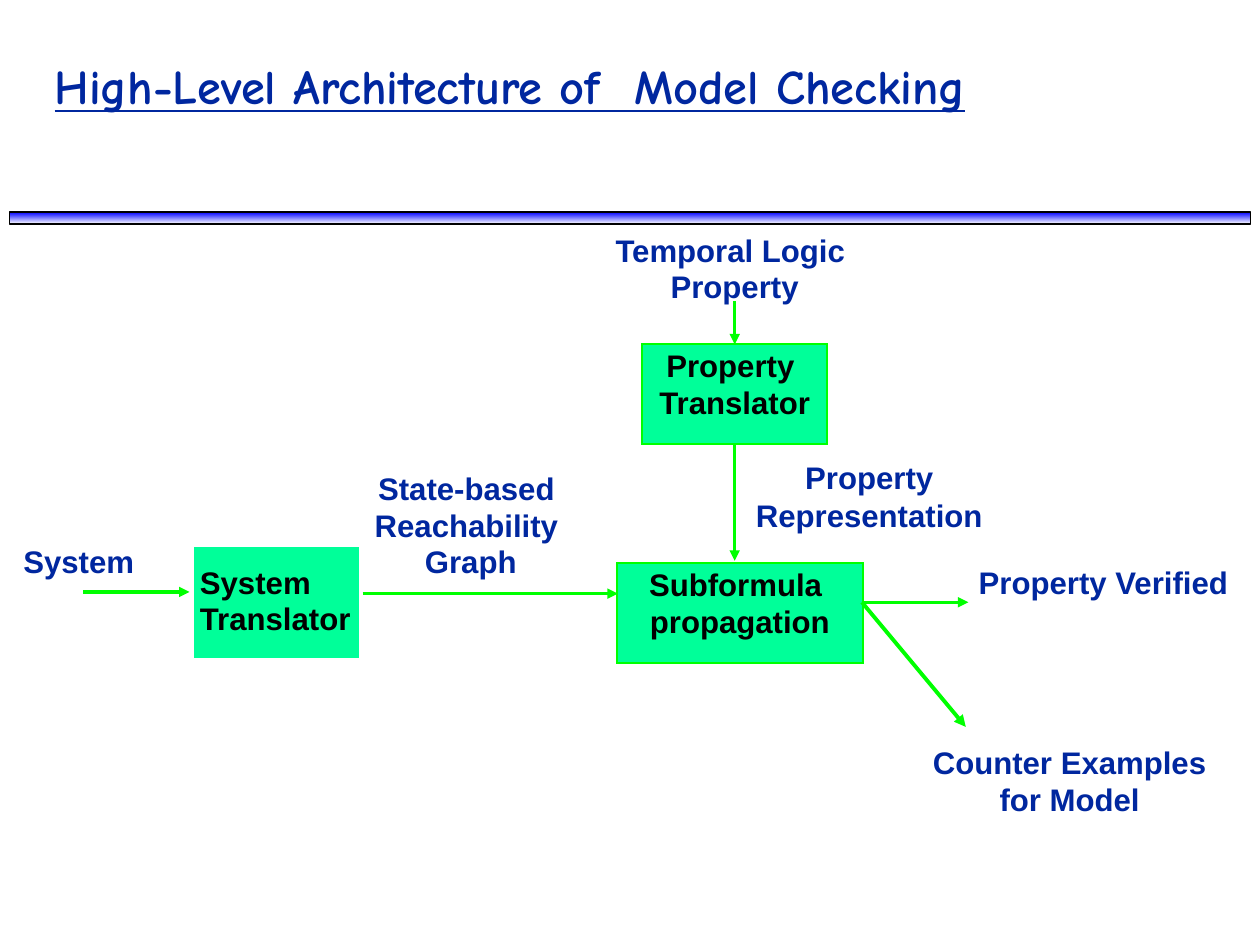
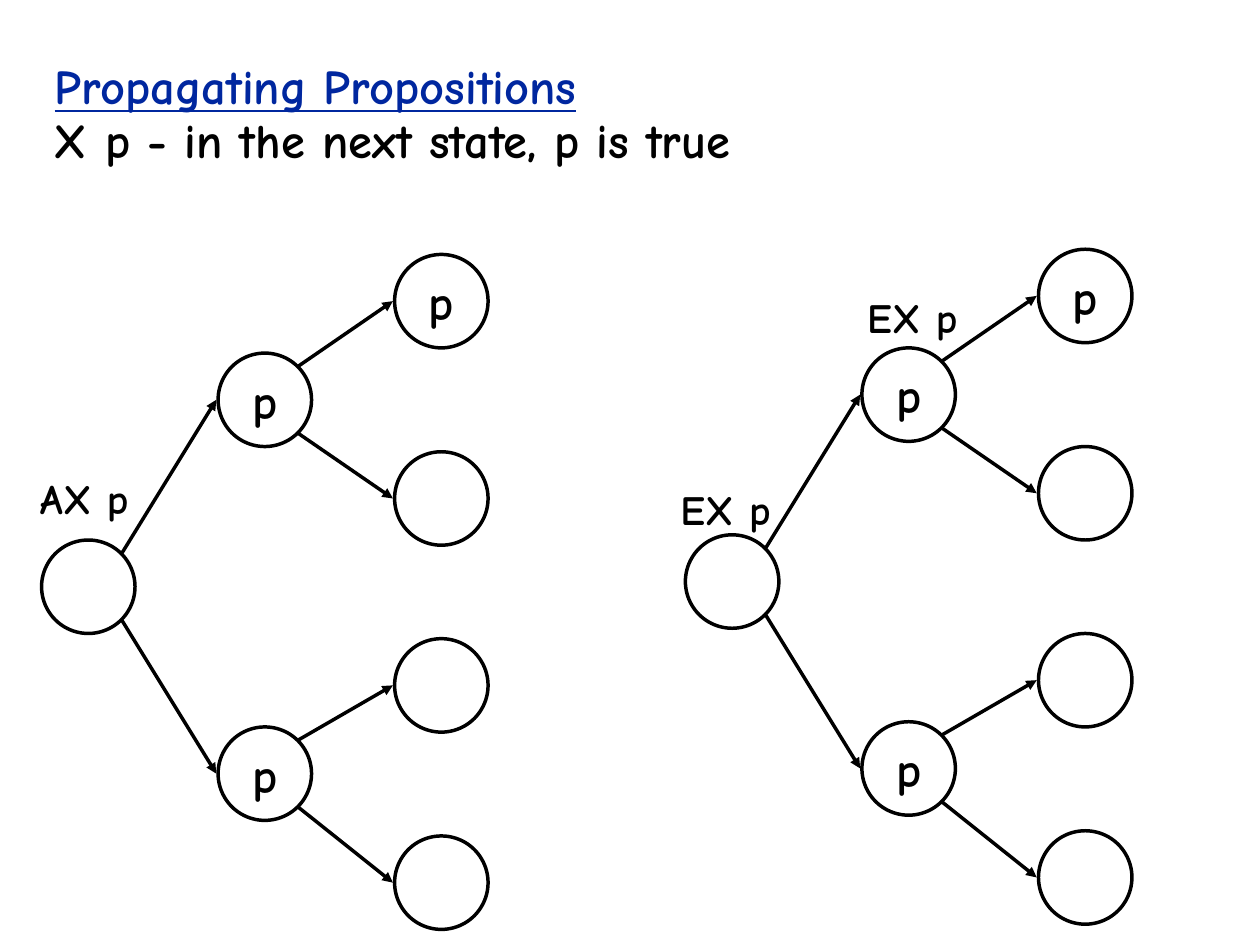
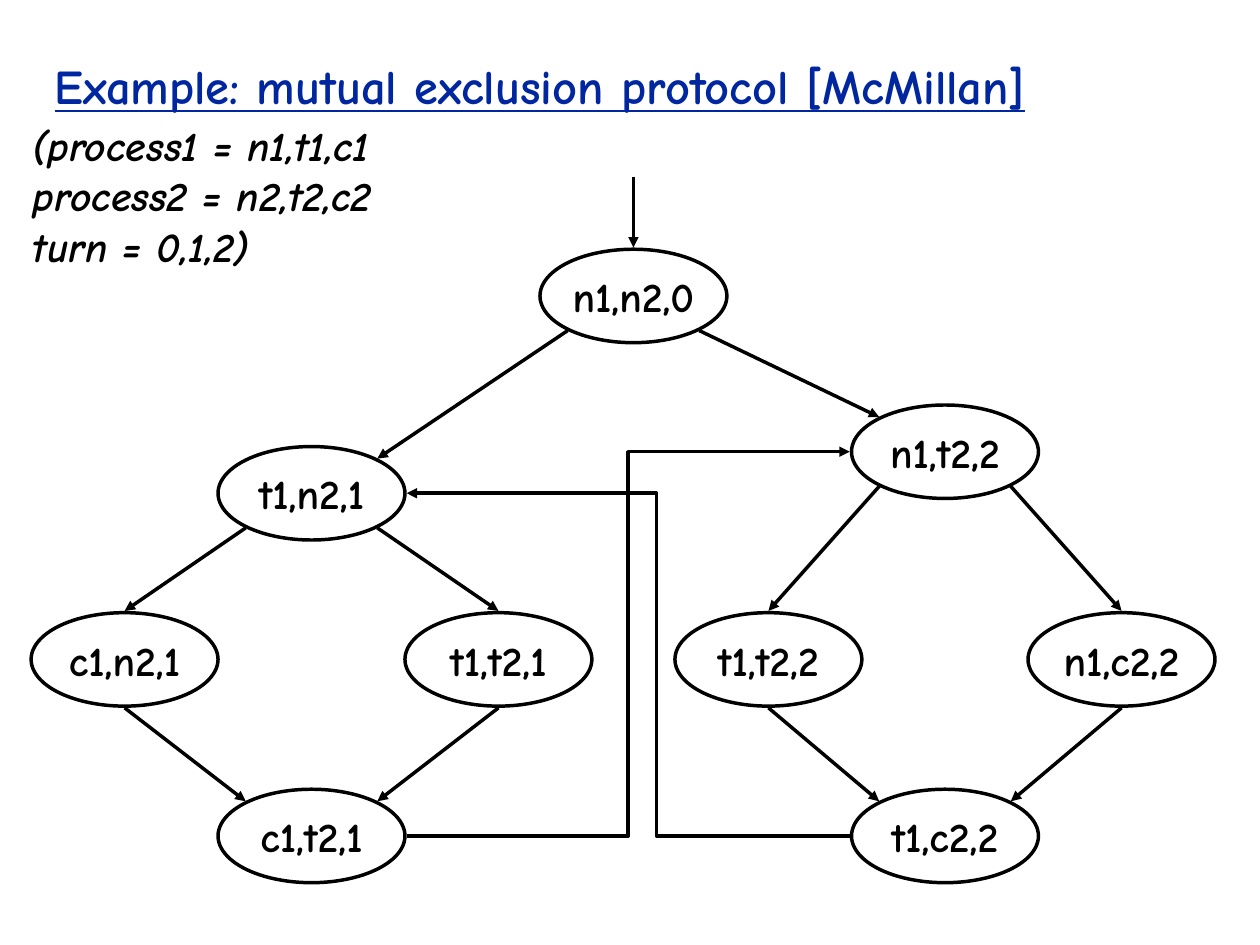
from lxml.etree import SubElement
from pptx import Presentation
from pptx.dml.color import RGBColor
from pptx.enum.shapes import MSO_CONNECTOR as LINK, MSO_SHAPE as SHAPE
from pptx.enum.text import MSO_ANCHOR as ANCHOR, PP_ALIGN as ALIGN
from pptx.oxml.ns import qn
from pptx.util import Pt

# Colours
NAVY = RGBColor(0x00, 0x27, 0x9F)
BLACK = RGBColor(0x00, 0x00, 0x00)
WHITE = RGBColor(0xFF, 0xFF, 0xFF)
BLUE = RGBColor(0x00, 0x00, 0xFF)
MINT = RGBColor(0x00, 0xFF, 0x99)
GREEN = RGBColor(0x00, 0xFF, 0x00)

# Frame formats
ROOMY = dict(margin_left=Pt(7.2), margin_right=Pt(7.2), margin_top=Pt(3.6),
             margin_bottom=Pt(3.6), word_wrap=True, vertical_anchor=ANCHOR.TOP)
TIGHT = dict(margin_left=Pt(1.5), margin_right=Pt(1.5), margin_top=Pt(2),
             margin_bottom=Pt(2), word_wrap=False, vertical_anchor=ANCHOR.TOP)
MIDDLE = dict(ROOMY, vertical_anchor=ANCHOR.MIDDLE)
NODE = dict(MIDDLE, word_wrap=False)
LOOSE = dict(ROOMY, word_wrap=False)

# Paragraph formats
LEFT = dict(alignment=ALIGN.LEFT)
CENTER = dict(alignment=ALIGN.CENTER)
TITLE_LINE = dict(LEFT, line_spacing=0.9)
LABEL_LEFT = dict(LEFT, line_spacing=Pt(21))
LABEL_CENTER = dict(CENTER, line_spacing=Pt(21))
HALF_LINE = dict(LEFT, line_spacing=0.5)

# Font formats
LABEL = dict(name="Arial", size=Pt(18), bold=True)
COMIC_28 = dict(name="Comic Neue", size=Pt(28), bold=True)
COMIC_24 = dict(COMIC_28, size=Pt(24))
TITLE = dict(COMIC_28, underline=True)


def write(box, lines, frame_format, para_format, font_format, color, gap=0):
    frame = box.text_frame
    for key, value in frame_format.items():
        setattr(frame, key, value)
    for index, line in enumerate(lines):
        para = frame.paragraphs[0] if index == 0 else frame.add_paragraph()
        for key, value in para_format.items():
            setattr(para, key, value)
        if index and gap:
            para.space_before = Pt(gap)
        span = para.add_run()
        span.text = line
        for key, value in font_format.items():
            setattr(span.font, key, value)
        span.font.color.rgb = color


def add_arrow(page, start, end, color=BLACK, weight=2, kind=LINK.STRAIGHT):
    arrow = page.shapes.add_connector(kind, *map(Pt, (*start, *end)))
    arrow.line.color.rgb = color
    arrow.line.width = Pt(weight)
    SubElement(arrow.line._get_or_add_ln(), qn("a:tailEnd"), type="triangle")
    SubElement(arrow._element.spPr, qn("a:effectLst"))
    return arrow


deck = Presentation()
deck.slide_width, deck.slide_height = Pt(728), Pt(546)

# Pages with their titles
pages = []
for title in ("High-Level Architecture of  Model Checking",
              "Propagating Propositions",
              "Example: mutual exclusion protocol [McMillan]"):
    page = deck.slides.add_slide(deck.slide_layouts[6])
    box = page.shapes.add_textbox(Pt(24.5), Pt(18), Pt(680), Pt(67))
    write(box, [title], MIDDLE, TITLE_LINE, TITLE, NAVY)
    pages.append(page)
architecture, propagation, protocol = pages

# Architecture: gradient rule
rule = architecture.shapes.add_shape(SHAPE.RECTANGLE, Pt(5.5), Pt(122.5), Pt(717), Pt(7))
rule.shadow.inherit = False
rule.fill.gradient()
rule.fill.gradient_angle = 270
for stop, color in zip(rule.fill.gradient_stops, (BLUE, WHITE)):
    stop.color.rgb = color
rule.line.color.rgb = BLACK
rule.line.width = Pt(1)

# Architecture: blocks with sharp corners
blocks = {}
for name, place, edge, weight, lines in (
        ("system", (114, 318, 91.5, 60.5), MINT, 4, []),
        ("property", (371, 199, 107, 57.5), GREEN, 1, ["Property ", "Translator"]),
        ("subformula", (356.5, 325.5, 142, 57.5), GREEN, 1, ["Subformula ", "propagation"])):
    block = architecture.shapes.add_shape(SHAPE.RECTANGLE, *map(Pt, place))
    block.shadow.inherit = False
    block.fill.solid()
    block.fill.fore_color.rgb = MINT
    block.line.color.rgb = edge
    block.line.width = Pt(weight)
    SubElement(block.line._get_or_add_ln(), qn("a:miter"), lim="800000")
    write(block, lines, TIGHT, LABEL_CENTER, LABEL, BLACK)
    blocks[name] = block

# Architecture: labels
for place, lines, frame_format, para_format, color in (
        ((344.5, 132, 160, 46), ["Temporal Logic ", "Property"], TIGHT, LABEL_CENTER, NAVY),
        ((12, 312, 89.5, 25), ["System"], TIGHT, LABEL_LEFT, NAVY),
        ((114, 324, 110, 46), ["System", "Translator"], TIGHT, LABEL_LEFT, BLACK),
        ((207, 270, 130, 67), ["State-based ", "Reachability ", "Graph"],
         TIGHT, LABEL_CENTER, NAVY),
        ((564, 324, 160, 25), ["Property Verified"], TIGHT, LABEL_LEFT, NAVY),
        ((423.5, 261.5, 157.5, 50.5), ["Property Representation"], ROOMY, CENTER, NAVY),
        ((528, 426, 180, 50.5), ["Counter Examples for Model"], ROOMY, CENTER, NAVY)):
    box = architecture.shapes.add_textbox(*map(Pt, place))
    write(box, lines, frame_format, para_format, LABEL, color)

# Architecture: arrows
for start, end, weight in (((48, 342), (109.5, 342), 2),
                           ((209.5, 343), (357, 343), 2),
                           ((498, 348), (559.5, 348), 2),
                           ((498, 348), (558, 420), 2.25)):
    add_arrow(architecture, start, end, GREEN, weight)
add_arrow(architecture, (424.5, 174), (424.5, 199), GREEN).end_connect(blocks["property"], 0)
add_arrow(architecture, (424.5, 256.5), (424.5, 324), GREEN).begin_connect(blocks["property"], 2)

# Propagation: two trees of the same form
SIZE = 54
RADIUS = SIZE / 2
CORNER = 19.5
TREE = [(24, 312, ""), (126, 204, "p"), (126, 420, "p"), (228, 147, "p"),
        (228, 261, ""), (228, 369, ""), (228, 483, "")]
BRANCHES = [(0, 1), (0, 2), (1, 3), (1, 4), (2, 5), (2, 6)]
for shift_x, shift_y in ((0, 0), (372, -3)):
    places = [(x + shift_x, y + shift_y) for x, y, text in TREE]
    for (x, y), (_, _, text) in zip(places, TREE):
        circle = propagation.shapes.add_shape(SHAPE.OVAL, Pt(x), Pt(y), Pt(SIZE), Pt(SIZE))
        circle.shadow.inherit = False
        circle.fill.background()
        circle.line.color.rgb = BLACK
        circle.line.width = Pt(2)
        if text:
            write(circle, [text], NODE, CENTER, COMIC_28, BLACK)
    for parent, child in BRANCHES:
        (x, y), (child_x, child_y) = places[parent], places[child]
        side = 1 if child_y > y else -1
        add_arrow(propagation, (x + RADIUS + CORNER, y + RADIUS + side * CORNER),
                  (child_x - 1, child_y + RADIUS))

# Propagation: captions
box = propagation.shapes.add_textbox(Pt(24), Pt(60), Pt(564), Pt(41))
write(box, ["X p - in the next state, p is true"], ROOMY, LEFT, COMIC_28, BLACK)
for x, y, text in ((494, 165, "EX p"), (386, 276, "EX p"), (16, 270, "AX p")):
    box = propagation.shapes.add_textbox(Pt(x), Pt(y), Pt(80), Pt(36))
    write(box, [text], LOOSE, LEFT, COMIC_24, BLACK)

# Protocol: process variables
box = protocol.shapes.add_textbox(Pt(12), Pt(78), Pt(268), Pt(80.5))
write(box, ["(process1 = n1,t1,c1", "process2 = n2,t2,c2", "turn = 0,1,2)"],
      ROOMY, HALF_LINE, dict(COMIC_24, italic=True), BLACK, gap=15)

# Protocol: states, given by their centres
WIDTH, HEIGHT = 108, 54
FORK_ROW = 381
STATES = {"n1,n2,0": (366, 171), "t1,n2,1": (180, 285), "n1,t2,2": (546, 261),
          "n1,c2,2": (648, FORK_ROW), "t1,t2,2": (444, FORK_ROW),
          "t1,c2,2": (546, 483), "t1,t2,1": (288, FORK_ROW),
          "c1,n2,1": (72, FORK_ROW), "c1,t2,1": (180, 483)}
for text, (x, y) in STATES.items():
    state = protocol.shapes.add_shape(SHAPE.OVAL, Pt(x - WIDTH / 2), Pt(y - HEIGHT / 2),
                                      Pt(WIDTH), Pt(HEIGHT))
    state.shadow.inherit = False
    state.fill.background()
    state.line.color.rgb = BLACK
    state.line.width = Pt(2)
    write(state, [text], NODE, CENTER, COMIC_24, BLACK)

# Protocol: downward steps meet the fork row at top or bottom, other states at a corner
for source, target in (("n1,n2,0", "t1,n2,1"), ("n1,n2,0", "n1,t2,2"),
                       ("n1,t2,2", "t1,t2,2"), ("n1,t2,2", "n1,c2,2"),
                       ("t1,t2,2", "t1,c2,2"), ("n1,c2,2", "t1,c2,2"),
                       ("t1,t2,1", "c1,t2,1"), ("t1,n2,1", "t1,t2,1"),
                       ("t1,n2,1", "c1,n2,1"), ("c1,n2,1", "c1,t2,1")):
    across = 1 if STATES[target][0] > STATES[source][0] else -1
    ends = []
    for name, way in ((source, 1), (target, -1)):
        x, y = STATES[name]
        dx, dy = (0, 28) if y == FORK_ROW else (38, 20)
        ends.append((x + way * across * dx, y + way * dy))
    add_arrow(protocol, *ends)
add_arrow(protocol, (366, 102), (366, 143))

# Protocol: elbow steps between the two halves
for source, target, bend in (("c1,t2,1", "n1,t2,2", 50000), ("t1,c2,2", "t1,n2,1", 43600)):
    (x, y), (target_x, target_y) = STATES[source], STATES[target]
    reach = (WIDTH / 2 + 1) * (1 if target_x > x else -1)
    elbow = add_arrow(protocol, (x + reach, y), (target_x - reach, target_y), kind=LINK.ELBOW)
    guides = elbow._element.spPr.find(qn("a:prstGeom")).find(qn("a:avLst"))
    SubElement(guides, qn("a:gd"), name="adj1", fmla=f"val {bend}")

deck.save("out.pptx")
